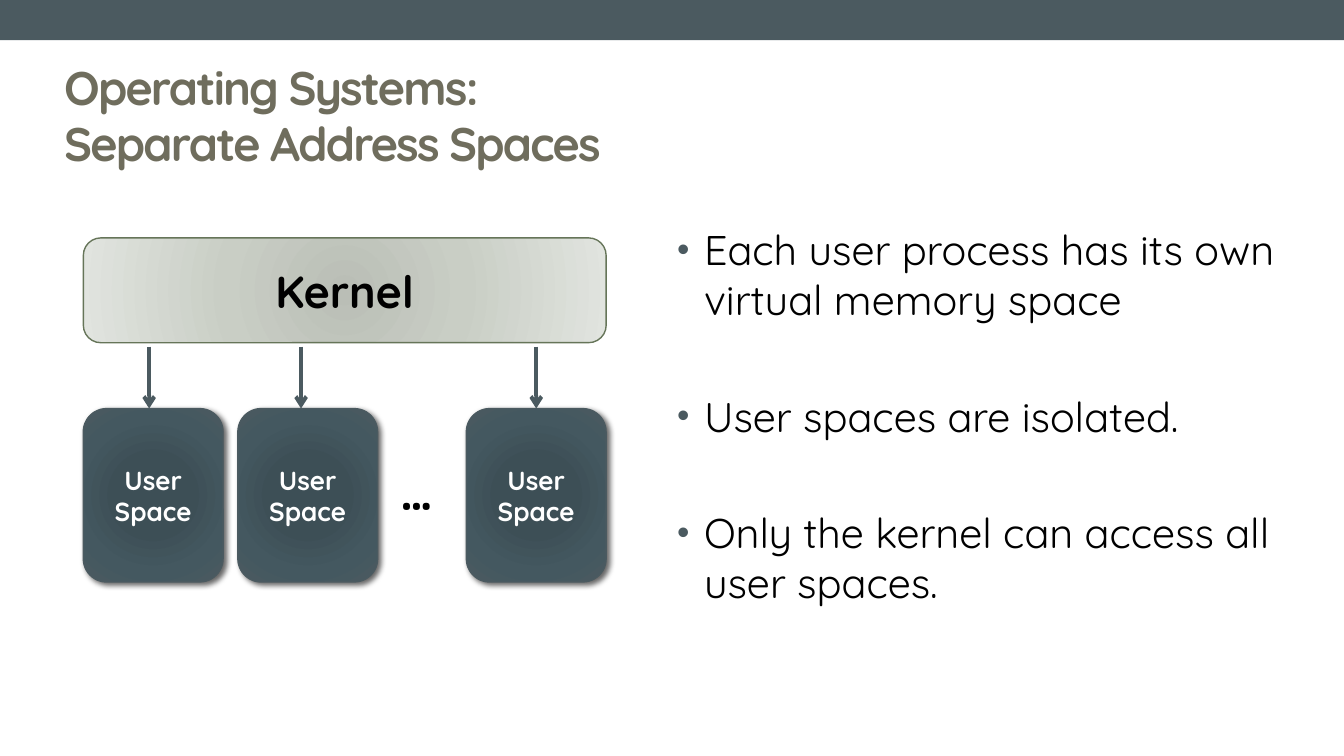
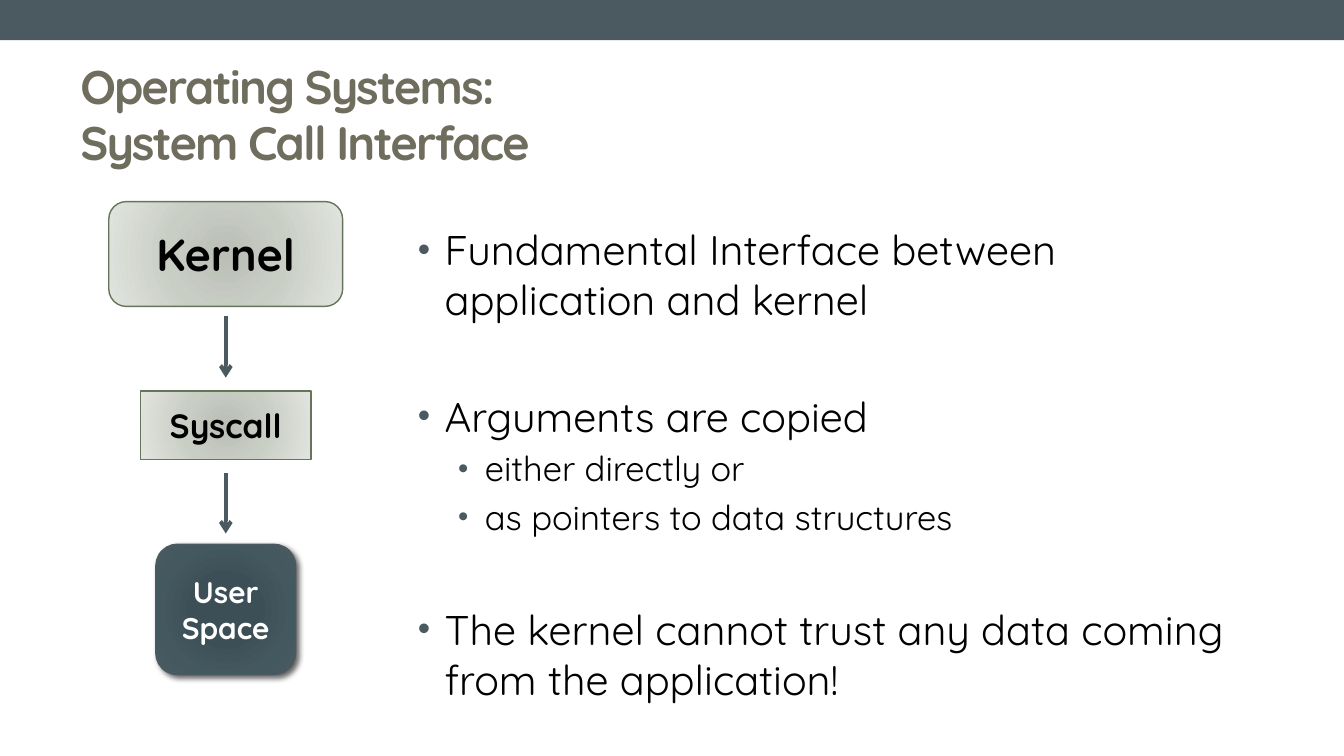
from lxml.etree import SubElement
from pptx import Presentation
from pptx.dml.color import RGBColor
from pptx.enum.shapes import MSO_CONNECTOR, MSO_SHAPE
from pptx.enum.text import MSO_ANCHOR, PP_ALIGN
from pptx.oxml import parse_xml
from pptx.oxml.ns import nsdecls, qn
from pptx.util import Inches, Pt

FONT = "Quicksand"
SLATE, OLIVE, BLACK, WHITE = "4B5A60", "6F6D5D", "000000", "FFFFFF"

KERNEL_STYLE = {
    "stops": [(0, "BABEB6"), (45, "C9CEC5"), (100, "E1E4DF")],
    "outline": "667559", "text": BLACK, "shadow": False,
}
USER_STYLE = {
    "stops": [(0, "3C4F57"), (34, "3D4F56"), (70, "445860"), (100, SLATE)],
    "outline": SLATE, "text": WHITE, "shadow": True,
}

USER_LABEL = "User\nSpace"
USER_WIDTH = 1.04

# (level, starts a new group, text)
ADDRESS_POINTS = [
    (0, False, "Each user process has its own virtual memory space"),
    (0, True, "User spaces are isolated."),
    (0, True, "Only the kernel can access all user spaces."),
]
SYSCALL_POINTS = [
    (0, False, "Fundamental Interface between application and kernel"),
    (0, True, "Arguments are copied"),
    (1, False, "either directly or"),
    (1, False, "as pointers to data structures"),
    (0, True, "The kernel cannot trust any data coming from the application!"),
]
POINT_SIZES = (22.2, 18.5)
POINT_INDENTS = (0.2, 0.5)
HANGING = 0.2
GROUP_GAP = 35.8

# (left of user space, x of its arrow)
USER_SPACES = [(0.62, 1.11), (1.77, 2.24), (3.47, 3.99)]
USER_TOP, USER_HEIGHT = 3.04, 1.29

# (label, shape, style, top, width, height, text size), centred on one axis
CALL_AXIS = 1.68
CALL_CHAIN = [
    ("Kernel", MSO_SHAPE.ROUNDED_RECTANGLE, KERNEL_STYLE, 1.5, 1.74, 0.78, 24),
    ("Syscall", MSO_SHAPE.RECTANGLE, KERNEL_STYLE, 2.91, 1.27, 0.51, 18),
    (USER_LABEL, MSO_SHAPE.ROUNDED_RECTANGLE, USER_STYLE, 4.05, USER_WIDTH, 0.97, 16),
]
CALL_ARROWS = [(2.35, 2.81), (3.52, 3.97)]


def color(hex_code):
    return RGBColor.from_string(hex_code)


def style_font(paragraph, size, hex_code, bold=False):
    for run in paragraph.runs:
        run.font.name = FONT
        run.font.size = Pt(size)
        run.font.bold = bold
        run.font.color.rgb = color(hex_code)


def add_text_box(slide, left, top, width, height):
    frame = slide.shapes.add_textbox(
        Inches(left), Inches(top), Inches(width), Inches(height)).text_frame
    frame.word_wrap = True
    return frame


def start_slide(prs, title, title_left, title_top):
    """Add a blank slide with the top band and the two-line title."""
    slide = prs.slides.add_slide(prs.slide_layouts[6])
    band = slide.shapes.add_shape(
        MSO_SHAPE.RECTANGLE, 0, 0, prs.slide_width, Inches(0.3))
    band.shadow.inherit = False
    band.fill.solid()
    band.fill.fore_color.rgb = color(SLATE)
    band.line.fill.background()

    frame = add_text_box(slide, title_left, title_top, 9, 0.81)
    frame.vertical_anchor = MSO_ANCHOR.MIDDLE
    heading = frame.paragraphs[0]
    heading.text = title
    style_font(heading, 25.2, OLIVE, bold=True)
    for run in heading.runs:
        run.font._element.set("spc", "-100")
    return slide


def fill_radial(block, stops):
    """Fill with a gradient that runs from the centre outwards."""
    stop_xml = "".join(
        f'<a:gs pos="{position * 1000}"><a:srgbClr val="{hex_code}"/></a:gs>'
        for position, hex_code in stops)
    gradient = parse_xml(
        f'<a:gradFill {nsdecls("a")} rotWithShape="1"><a:gsLst>{stop_xml}</a:gsLst>'
        '<a:path path="circle"><a:fillToRect l="100000" t="100000" '
        'r="100000" b="100000"/></a:path></a:gradFill>')
    block._element.spPr.find(qn("a:prstGeom")).addnext(gradient)


def add_drop_shadow(block):
    effects = block._element.spPr.find(qn("a:effectLst"))
    shadow = SubElement(effects, qn("a:outerShdw"), blurRad=str(Pt(3)),
                        dist=str(Pt(2)), dir=str(45 * 60000), rotWithShape="0")
    tint = SubElement(shadow, qn("a:srgbClr"), val=BLACK)
    SubElement(tint, qn("a:alpha"), val="60000")


def add_block(slide, label, preset, style, left, top, width, height, size):
    block = slide.shapes.add_shape(
        preset, Inches(left), Inches(top), Inches(width), Inches(height))
    block.shadow.inherit = False
    fill_radial(block, style["stops"])
    block.line.color.rgb = color(style["outline"])
    block.line.width = Pt(0.75)
    if style["shadow"]:
        add_drop_shadow(block)
    frame = block.text_frame
    frame.vertical_anchor = MSO_ANCHOR.MIDDLE
    frame.text = label
    for paragraph in frame.paragraphs:
        paragraph.alignment = PP_ALIGN.CENTER
        style_font(paragraph, size, style["text"], bold=True)
    return block


def add_down_arrow(slide, x, top, bottom):
    arrow = slide.shapes.add_connector(
        MSO_CONNECTOR.STRAIGHT, Inches(x), Inches(top), Inches(x), Inches(bottom))
    arrow.line.color.rgb = color(SLATE)
    arrow.line.width = Pt(2.08)
    SubElement(arrow.line._get_or_add_ln(), qn("a:tailEnd"), type="arrow")
    SubElement(arrow._element.spPr, qn("a:effectLst"))
    return arrow


def add_points(slide, points, left, width, height):
    frame = add_text_box(slide, left, 1.62, width, height)
    for index, (level, new_group, text) in enumerate(points):
        point = frame.paragraphs[0] if index == 0 else frame.add_paragraph()
        point.text = text
        point.level = level
        size = POINT_SIZES[level]
        properties = point._p.get_or_add_pPr()
        properties.set("marL", str(Inches(POINT_INDENTS[level])))
        properties.set("indent", str(-Inches(HANGING)))
        bullet_color = SubElement(properties, qn("a:buClr"))
        SubElement(bullet_color, qn("a:srgbClr"), val=SLATE)
        SubElement(properties, qn("a:buSzPct"), val="85000")
        SubElement(properties, qn("a:buFont"), typeface="Arial")
        SubElement(properties, qn("a:buChar"), char="•")
        if index:
            point.space_before = Pt(GROUP_GAP if new_group else round(size * 0.2, 1))
        style_font(point, size, BLACK)


def build_address_spaces(prs):
    slide = start_slide(prs, "Operating Systems:\vSeparate Address Spaces", 0.38, 0.45)
    add_block(slide, "Kernel", MSO_SHAPE.ROUNDED_RECTANGLE, KERNEL_STYLE,
              0.62, 1.77, 3.89, 0.78, 24)
    for left, arrow_x in USER_SPACES:
        user_space = add_block(slide, USER_LABEL, MSO_SHAPE.ROUNDED_RECTANGLE,
                               USER_STYLE, left, USER_TOP, USER_WIDTH, USER_HEIGHT, 14)
        arrow = add_down_arrow(slide, arrow_x, 2.58, USER_TOP)
        if arrow_x == round(left + USER_WIDTH / 2, 2):
            arrow.end_connect(user_space, 0)
    ellipsis = add_text_box(slide, 2.88, 3.36, 0.78, 0.57).paragraphs[0]
    ellipsis.text = "…"
    style_font(ellipsis, 28, BLACK, bold=True)
    add_points(slide, ADDRESS_POINTS, 4.94, 4.93, 2.92)


def build_system_calls(prs):
    slide = start_slide(prs, "Operating Systems:\vSystem Call Interface", 0.5, 0.44)
    add_points(slide, SYSCALL_POINTS, 3.01, 6.49, 3.57)
    for label, preset, style, top, width, height, size in CALL_CHAIN:
        add_block(slide, label, preset, style, CALL_AXIS - width / 2, top,
                  width, height, size)
    for top, bottom in CALL_ARROWS:
        add_down_arrow(slide, CALL_AXIS, top, bottom)


def main():
    prs = Presentation()
    prs.slide_width = Inches(10)
    prs.slide_height = prs.slide_width * 9 // 16
    build_address_spaces(prs)
    build_system_calls(prs)
    prs.save("out.pptx")


if __name__ == "__main__":
    main()
